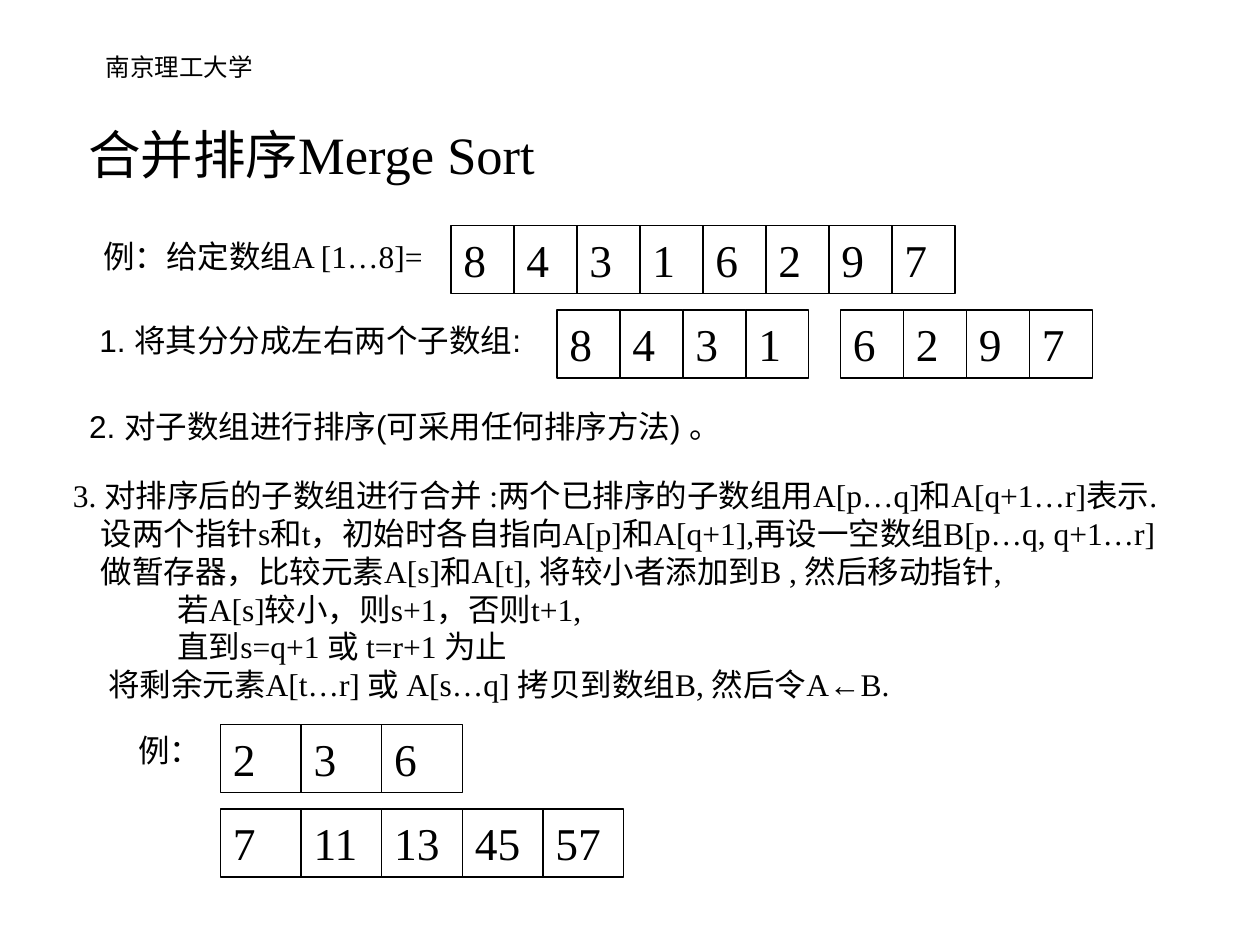
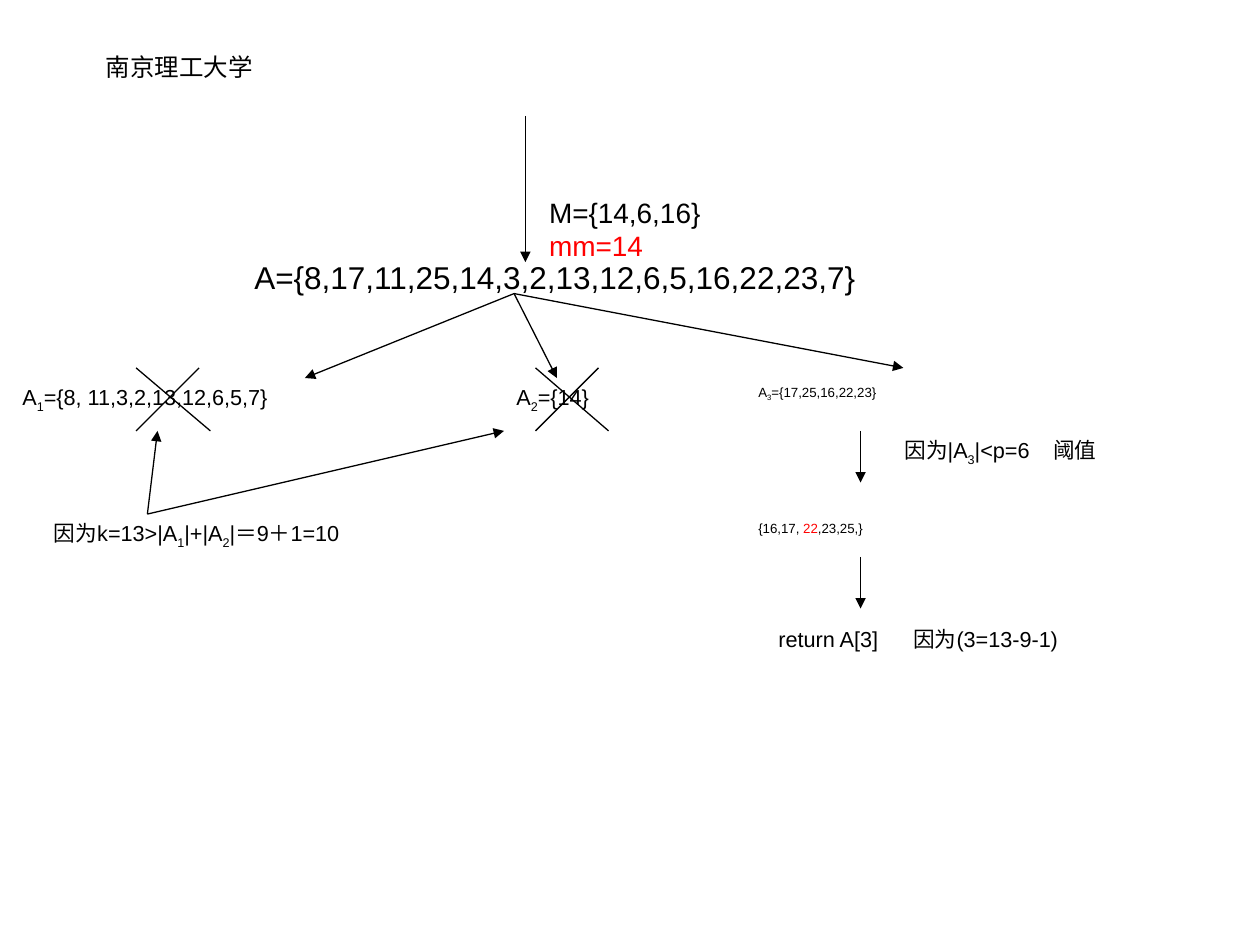
import pptx
import pptx.util
import pptx.dml.color
import pptx.enum.shapes
import pptx.enum.text
import pptx.oxml.ns
from lxml import etree

Inches = pptx.util.Inches
Pt = pptx.util.Pt
RGBColor = pptx.dml.color.RGBColor
ANCHOR = pptx.enum.text.MSO_ANCHOR
ALIGN = pptx.enum.text.PP_ALIGN
qn = pptx.oxml.ns.qn

BLACK = RGBColor(0x00, 0x00, 0x00)
WHITE = RGBColor(0xFF, 0xFF, 0xFF)
RED = RGBColor(0xFF, 0x00, 0x00)
SANS = "Arial"
SERIF = "Times New Roman"
LINE_WIDTH = Pt(0.75)
CELL_HEIGHT = 0.54


def add_run(p, text, size, font=SANS, color=BLACK, sub=False):
    r = p.add_run()
    r.text = text
    r.font.size = Pt(size)
    r.font.name = font
    r.font.color.rgb = color
    if sub:
        r._r.get_or_add_rPr().set("baseline", "-25000")


def set_indent(p, indent):
    pPr = p._p.get_or_add_pPr()
    pPr.set("marL", str(Inches(indent)))
    pPr.set("indent", "0")


def set_tab(p, position):
    tabs = etree.SubElement(p._p.get_or_add_pPr(), qn("a:tabLst"))
    etree.SubElement(tabs, qn("a:tab"), pos=str(Inches(position)), algn="l")


def add_text_frame(s, left, top, width, height, wrap=True, anchor=ANCHOR.TOP):
    box = s.shapes.add_textbox(Inches(left), Inches(top), Inches(width), Inches(height))
    tf = box.text_frame
    tf.word_wrap = wrap
    tf.vertical_anchor = anchor
    return tf


def add_label(s, left, top, width, height, runs, size, tab=None, wrap=True):
    p = add_text_frame(s, left, top, width, height, wrap).paragraphs[0]
    if tab:
        set_tab(p, tab)
    for text, style in runs:
        add_run(p, text, size, **style)
    return p


def add_step(s, left, top, width, height, lines, font):
    tf = add_text_frame(s, left, top, width, height, False, ANCHOR.MIDDLE)
    for i, (text, indent) in enumerate(lines):
        p = tf.add_paragraph() if i else tf.paragraphs[0]
        if indent:
            set_indent(p, indent)
        add_run(p, text, 18, font)


def add_array(s, left, top, cell_width, values):
    grp = s.shapes.add_group_shape()
    for i, value in enumerate(values):
        cell = grp.shapes.add_shape(
            pptx.enum.shapes.MSO_SHAPE.RECTANGLE,
            Inches(left + i * cell_width), Inches(top),
            Inches(cell_width), Inches(CELL_HEIGHT))
        cell.shadow.inherit = False
        cell.fill.solid()
        cell.fill.fore_color.rgb = WHITE
        cell.line.color.rgb = BLACK
        cell.line.width = LINE_WIDTH
        tf = cell.text_frame
        tf.vertical_anchor = ANCHOR.TOP
        p = tf.paragraphs[0]
        p.alignment = ALIGN.JUSTIFY
        add_run(p, str(value), 26, SERIF)


def add_line(s, start, end, arrow=True):
    cxn = s.shapes.add_connector(
        pptx.enum.shapes.MSO_CONNECTOR.STRAIGHT,
        *(Inches(v) for v in (*start, *end)))
    cxn.line.color.rgb = BLACK
    cxn.line.width = LINE_WIDTH
    if arrow:
        etree.SubElement(cxn.line._get_or_add_ln(), qn("a:tailEnd"), type="triangle")
    etree.SubElement(cxn._element.spPr, qn("a:effectLst"))


def add_cross(s, left, falling_width):
    add_line(s, (left, 3.42), (left + 0.5, 2.92), arrow=False)
    add_line(s, (left, 2.92), (left + falling_width, 3.42), arrow=False)


def add_slide(prs, layout):
    s = prs.slides.add_slide(prs.slide_layouts[layout])
    p = add_label(s, -0.16, 0.36, 3.17, 0.52, [("南京理工大学", {})], 14)
    p.alignment = ALIGN.CENTER
    return s


def add_title(s, text):
    title = s.shapes.title
    title.left, title.top = Inches(0.6), Inches(0.59)
    title.width, title.height = Inches(8.9), Inches(1.25)
    tf = title.text_frame
    tf.vertical_anchor = ANCHOR.MIDDLE
    p = tf.paragraphs[0]
    p.alignment = ALIGN.LEFT
    add_run(p, text, 30, SERIF)


def build_merge_sort(prs):
    s = add_slide(prs, 5)
    add_title(s, "合并排序Merge Sort")

    numbers = [8, 4, 3, 1, 6, 2, 9, 7]
    add_step(s, 0.72, 1.83, 2.87, 0.4, [("例：给定数组A [1…8]=", 0)], SERIF)
    add_array(s, 3.58, 1.79, 0.5, numbers)
    add_step(s, 0.69, 2.5, 3.73, 0.4, [("1. 将其分分成左右两个子数组:", 0)], SANS)
    add_array(s, 4.42, 2.46, 0.5, numbers[:4])
    add_array(s, 6.67, 2.46, 0.5, numbers[4:])
    add_step(s, 0.61, 3.18, 5.57, 0.4,
             [("2. 对子数组进行排序(可采用任何排序方法) 。", 0)], SANS)
    add_step(s, 0.48, 3.73, 9.37, 1.9, [
        ("3. 对排序后的子数组进行合并 :两个已排序的子数组用A[p…q]和A[q+1…r]表示.", 0),
        ("设两个指针s和t，初始时各自指向A[p]和A[q+1],再设一空数组B[p…q, q+1…r]", 0.22),
        ("做暂存器，比较元素A[s]和A[t], 将较小者添加到B , 然后移动指针,", 0.22),
        ("若A[s]较小，则s+1，否则t+1,", 0.83),
        ("直到s=q+1 或 t=r+1 为止", 0.83),
        ("将剩余元素A[t…r] 或 A[s…q] 拷贝到数组B, 然后令A←B.", 0.28),
    ], SERIF)

    add_label(s, 1, 5.75, 0.75, 0.4, [("例：", {})], 18)
    add_array(s, 1.75, 5.75, 0.64, [2, 3, 6])
    add_array(s, 1.75, 6.42, 0.64, [7, 11, 13, 45, 57])


def build_selection(prs):
    s = add_slide(prs, 6)
    sub = {"sub": True}
    red = {"color": RED}

    add_label(s, 1.92, 2, 4.99, 0.4,
              [("A={8,17,11,25,14,3,2,13,12,6,5,16,22,23,7}", {})], 18, wrap=False)
    add_label(s, 4.26, 1.5, 2.33, 0.37,
              [("M={14,6,16}\t", {}), ("mm=14", red)], 16, tab=1.39, wrap=False)

    subsets = [
        (0.08, 4.5, 0.33, "1", "={8, 11,3,2,13,12,6,5,7}", 12.4),
        (4, 1.08, 0.33, "2", "={14}", 12.4),
        (5.92, 2.42, 0.25, "3", "={17,25,16,22,23}", 7.6),
    ]
    for left, width, height, index, values, size in subsets:
        add_label(s, left, 3, width, height,
                  [("A", {}), (index, sub), (values, {})], size)

    add_label(s, 0.33, 4.08, 3.75, 0.33,
              [("因为k=13>|A", {}), ("1", sub), ("|+|A", {}), ("2", sub),
               ("|＝9＋1=10", {})], 12.4)
    add_label(s, 7.08, 3.42, 2.17, 0.33,
              [("因为|A", {}), ("3", sub), ("|<p=6\t阈值", {})], 12.4, tab=1.18)
    add_label(s, 5.92, 4.08, 3.5, 0.25,
              [("{16,17, ", {}), ("22", red), (",23,25,}", {})], 7.6)
    add_label(s, 6.08, 4.92, 3.42, 0.33,
              [("return A[3]\t因为(3=13-9-1)", {})], 12.4, tab=1.07)

    add_cross(s, 1.08, 0.59)
    add_cross(s, 4.25, 0.58)
    add_line(s, (4.17, 0.92), (4.17, 2.08))
    for end in [(2.42, 3), (4.42, 3), (7.17, 2.92)]:
        add_line(s, (4.08, 2.33), end)
    for end in [(1.25, 3.42), (4, 3.42)]:
        add_line(s, (1.17, 4.08), end)
    for top in (3.42, 4.42):
        add_line(s, (6.83, top), (6.83, top + 0.41))


def main():
    prs = pptx.Presentation()
    prs.slide_width, prs.slide_height = Inches(10), Inches(7.5)
    build_merge_sort(prs)
    build_selection(prs)
    prs.save("out.pptx")


if __name__ == "__main__":
    main()
